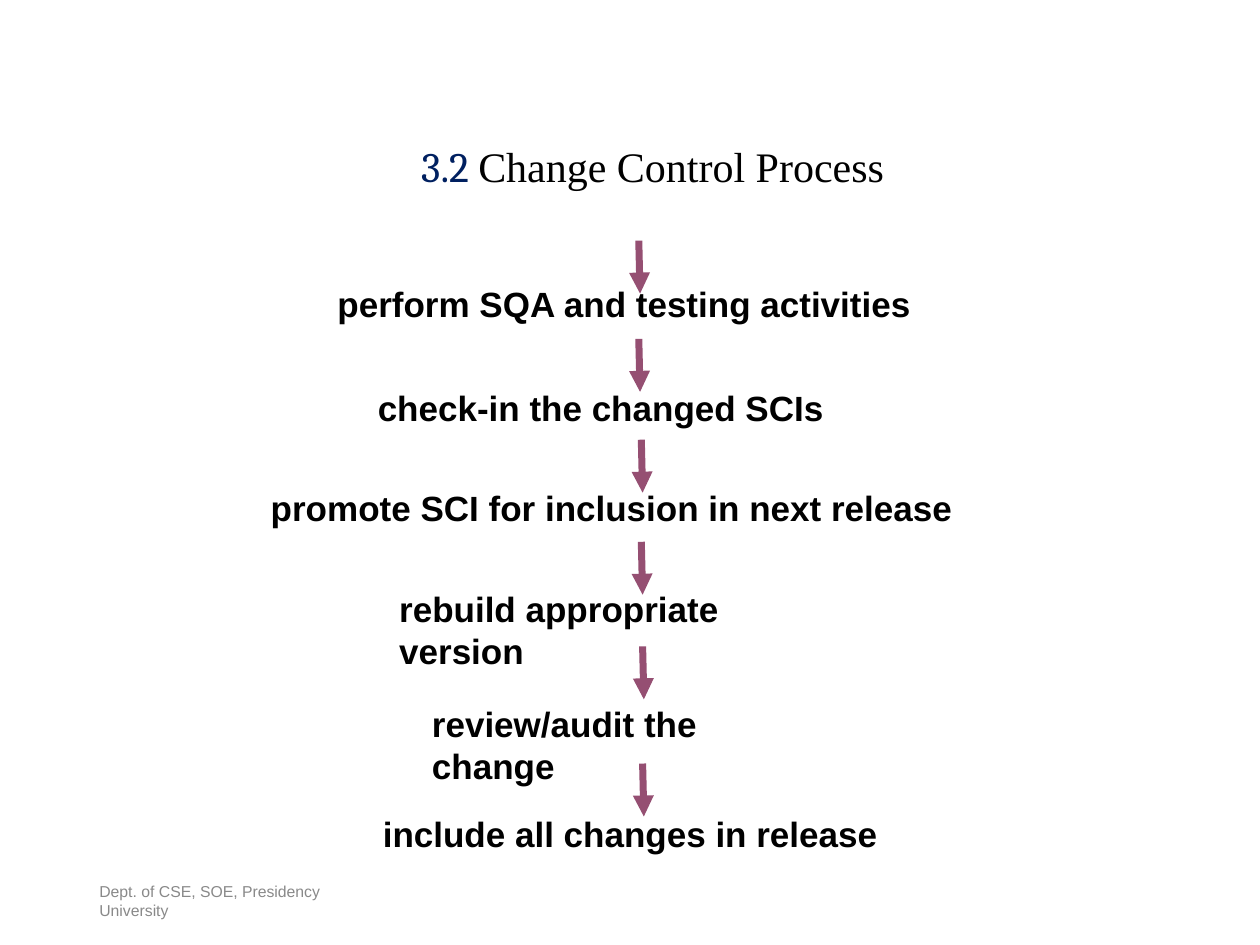
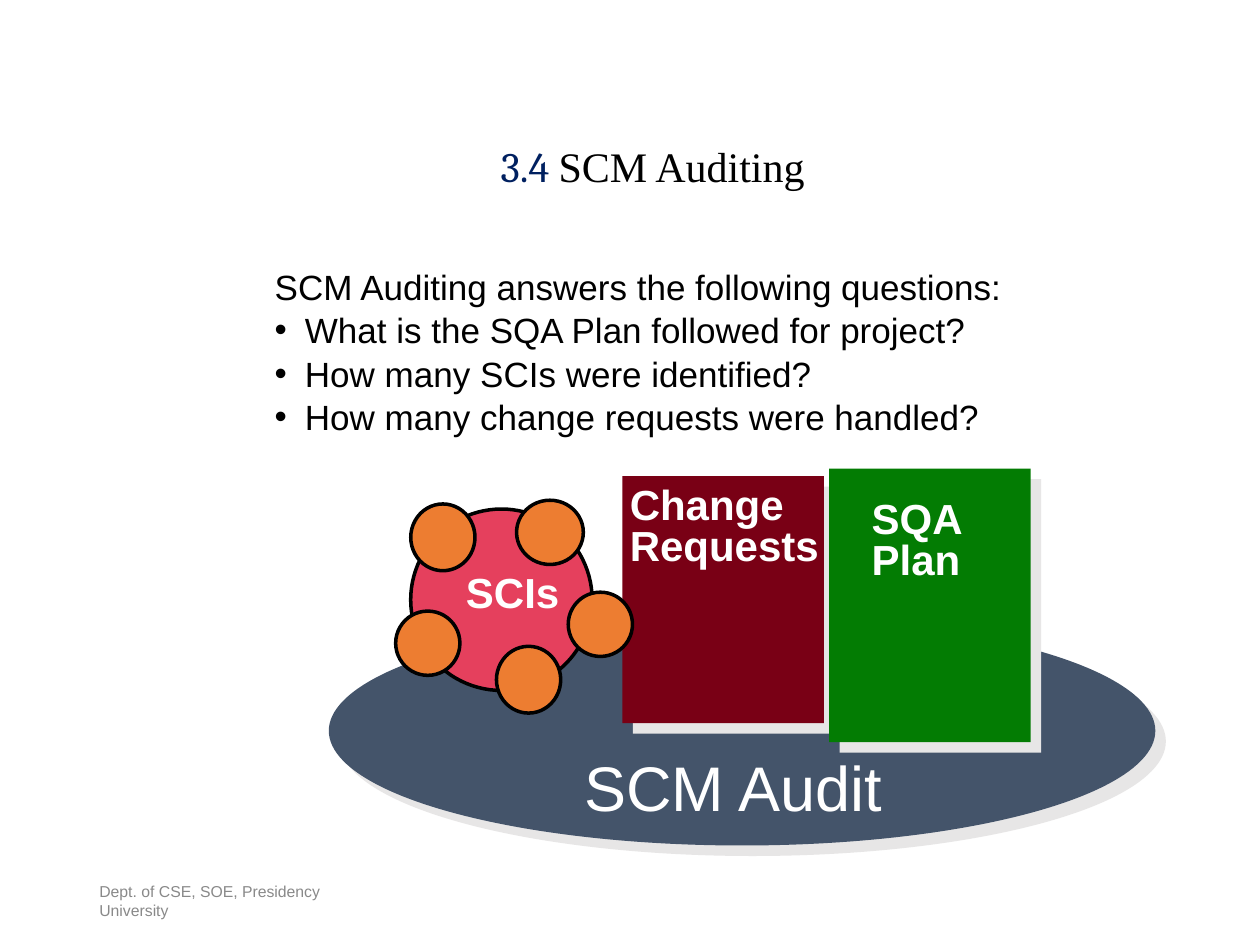
from dataclasses import dataclass

from lxml import etree
from pptx import Presentation
from pptx.dml.color import RGBColor
from pptx.enum.shapes import MSO_CONNECTOR as Connector, MSO_SHAPE as Preset
from pptx.enum.text import MSO_ANCHOR as Anchor, MSO_AUTO_SIZE as AutoSize, PP_ALIGN as Align
from pptx.oxml.ns import qn
from pptx.util import Inches, Pt

BLACK, WHITE, NAVY, GREY = "000000", "FFFFFF", "002060", "898989"
PLUM, SLATE, MAROON, GREEN = "954F72", "44546A", "790015", "037C03"
ROSE, ORANGE, SHADOW = "E5405D", "ED7D31", "E7E6E6"
TITLE_CENTRE = 5.18
BULLET_INDENT = 0.24
TITLE_ONLY, TITLE_AND_CONTENT = 5, 1


@dataclass
class Step:
    text: str
    left: float
    top: float
    width: float
    arrow_left: float
    arrow_top: float


@dataclass
class Figure:
    preset: Preset
    left: float
    top: float
    width: float
    height: float
    fill: str
    outlined: bool = False
    shadowed: bool = False


@dataclass
class Label:
    lines: list[str]
    left: float
    top: float
    width: float
    height: float
    size: int = 24
    bold: bool = True
    spacing: float = 1.0


STEPS = [
    Step("perform SQA and testing activities", 2.58, 2.19, 4.76, 5.07, 1.91),
    Step("check-in the changed SCIs", 2.9, 3.02, 3.74, 5.07, 2.69),
    Step("promote SCI for inclusion in next release", 2.05, 3.81, 5.61, 5.09, 3.49),
    Step("rebuild appropriate version", 3.07, 4.61, 3.8, 5.09, 4.3),
    Step("review/audit the change", 3.33, 5.53, 3.35, 5.1, 5.13),
    Step("include all changes in release", 2.94, 6.4, 4.13, 5.1, 6.06),
]

QUESTIONS = [
    "What is the SQA Plan followed for project?",
    "How many SCIs were identified?",
    "How many change requests were handled?",
]

ITEM_CIRCLES = [
    (3.94, 5.13, 0.51, 0.53),
    (4.51, 4.7, 0.51, 0.51),
    (4.1, 3.97, 0.53, 0.51),
    (3.26, 4, 0.51, 0.53),
    (3.14, 4.85, 0.51, 0.51),
]

FIGURES = [
    Figure(Preset.OVAL, 2.61, 4.89, 6.56, 1.82, SLATE, shadowed=True),
    Figure(Preset.RECTANGLE, 4.94, 3.78, 1.6, 1.96, MAROON, shadowed=True),
    Figure(Preset.RECTANGLE, 6.58, 3.72, 1.6, 2.17, GREEN, shadowed=True),
    Figure(Preset.OVAL, 3.26, 4.04, 1.44, 1.44, ROSE, outlined=True),
    *(Figure(Preset.OVAL, *box, ORANGE, outlined=True) for box in ITEM_CIRCLES),
]

LABELS = [
    Label(["SCIs"], 3.6, 4.45, 0.94, 0.5),
    Label(["Change", "Requests"], 4.9, 3.83, 1.7, 0.74, spacing=0.8),
    Label(["SQA", "Plan"], 6.82, 3.94, 0.92, 0.74, spacing=0.8),
    Label(["SCM Audit"], 4.54, 5.89, 2.59, 0.7, size=36, bold=False),
]


def colour(value: str) -> RGBColor:
    return RGBColor.from_string(value)


def write(paragraph, text: str, *, size: float = 20, font: str = "Arial",
          fill: str = BLACK, bold: bool = False, align=Align.LEFT,
          spacing: float = 1.0) -> None:
    paragraph.alignment = align
    paragraph.line_spacing = spacing
    paragraph.space_before = Pt(0)
    run = paragraph.add_run()
    run.text = text
    run.font.size = Pt(size)
    run.font.name = font
    run.font.bold = bold
    run.font.color.rgb = colour(fill)


def place(shape, left: float, top: float, width: float, height: float) -> None:
    shape.left, shape.top = Inches(left), Inches(top)
    shape.width, shape.height = Inches(width), Inches(height)


def set_frame(frame, *, horizontal: float = 0.1, vertical: float = 0.05,
              wrap: bool = True, anchor=Anchor.TOP) -> None:
    frame.margin_left = frame.margin_right = Inches(horizontal)
    frame.margin_top = frame.margin_bottom = Inches(vertical)
    frame.word_wrap = wrap
    frame.auto_size = AutoSize.NONE if wrap else AutoSize.SHAPE_TO_FIT_TEXT
    frame.vertical_anchor = anchor


def add_text(slide, lines: list[str], left: float, top: float, width: float,
             height: float, *, wrap: bool = False, anchor=Anchor.TOP, **style) -> None:
    box = slide.shapes.add_textbox(Inches(left), Inches(top), Inches(width), Inches(height))
    frame = box.text_frame
    set_frame(frame, wrap=wrap, anchor=anchor)
    for index, line in enumerate(lines):
        paragraph = frame.add_paragraph() if index else frame.paragraphs[0]
        write(paragraph, line, **style)


def add_slide(presentation, layout: int, number: str, title: str, title_width: float):
    slide = presentation.slides.add_slide(presentation.slide_layouts[layout])
    shape = slide.shapes.title
    place(shape, TITLE_CENTRE - title_width / 2, 1.13, title_width, 0.46)
    set_frame(shape.text_frame, horizontal=0.07, vertical=0.03)
    paragraph = shape.text_frame.paragraphs[0]
    style = dict(size=24, align=Align.CENTER, spacing=0.9)
    write(paragraph, f"{number} ", font="Cambria", fill=NAVY, **style)
    write(paragraph, title, font="Times New Roman", **style)
    add_text(slide, ["Dept. of CSE, SOE, Presidency University"], 0.69, 6.95, 2.25, 0.4,
             wrap=True, anchor=Anchor.MIDDLE, size=9, fill=GREY)
    return slide


def add_arrow(slide, left: float, top: float) -> None:
    arrow = slide.shapes.add_connector(Connector.STRAIGHT, Inches(left), Inches(top),
                                       Inches(left + 0.01), Inches(top + 0.42))
    arrow.line.color.rgb = colour(PLUM)
    arrow.line.width = Pt(4)
    etree.SubElement(arrow.line._get_or_add_ln(), qn("a:tailEnd"), type="triangle")
    etree.SubElement(arrow._element.spPr, qn("a:effectLst"))


def add_figure(slide, figure: Figure) -> None:
    shape = slide.shapes.add_shape(figure.preset, 0, 0, 0, 0)
    place(shape, figure.left, figure.top, figure.width, figure.height)
    shape.fill.solid()
    shape.fill.fore_color.rgb = colour(figure.fill)
    if figure.outlined:
        shape.line.color.rgb = colour(BLACK)
        shape.line.width = Pt(2)
    else:
        shape.line.fill.background()
    shape.shadow.inherit = False
    if figure.shadowed:
        effects = shape._element.spPr.find(qn("a:effectLst"))
        shadow = etree.SubElement(effects, qn("a:outerShdw"), dist=str(Pt(8.5)),
                                  dir=str(45 * 60000), algn="ctr", rotWithShape="0")
        etree.SubElement(shadow, qn("a:srgbClr"), val=SHADOW)


def set_bullet(paragraph, bulleted: bool) -> None:
    properties = paragraph._p.get_or_add_pPr()
    indent = Inches(BULLET_INDENT) if bulleted else 0
    properties.set("marL", str(indent))
    properties.set("indent", str(-indent))
    if bulleted:
        etree.SubElement(properties, qn("a:buFont"), typeface="Arial")
        etree.SubElement(properties, qn("a:buChar"), char="•")
    else:
        etree.SubElement(properties, qn("a:buNone"))


def build_process(presentation) -> None:
    slide = add_slide(presentation, TITLE_ONLY, "3.2", "Change Control Process", 4.37)
    for step in STEPS:
        add_arrow(slide, step.arrow_left, step.arrow_top)
        add_text(slide, [step.text], step.left, step.top, step.width, 0.43, bold=True)


def build_auditing(presentation) -> None:
    slide = add_slide(presentation, TITLE_AND_CONTENT, "3.4", "SCM Auditing", 2.74)
    body = slide.placeholders[1]
    place(body, 2.08, 2.04, 7.17, 2.44)
    set_frame(body.text_frame)
    lines = ["SCM Auditing answers the following questions:", *QUESTIONS]
    for index, line in enumerate(lines):
        paragraph = body.text_frame.add_paragraph() if index else body.text_frame.paragraphs[0]
        set_bullet(paragraph, index > 0)
        write(paragraph, line, align=Align.JUSTIFY, spacing=1.04)
    for figure in FIGURES:
        add_figure(slide, figure)
    for label in LABELS:
        add_text(slide, label.lines, label.left, label.top, label.width, label.height,
                 size=label.size, bold=label.bold, fill=WHITE, spacing=label.spacing)


def main() -> None:
    presentation = Presentation()
    presentation.slide_width, presentation.slide_height = Inches(10), Inches(7.5)
    build_process(presentation)
    build_auditing(presentation)
    presentation.save("out.pptx")


if __name__ == "__main__":
    main()
